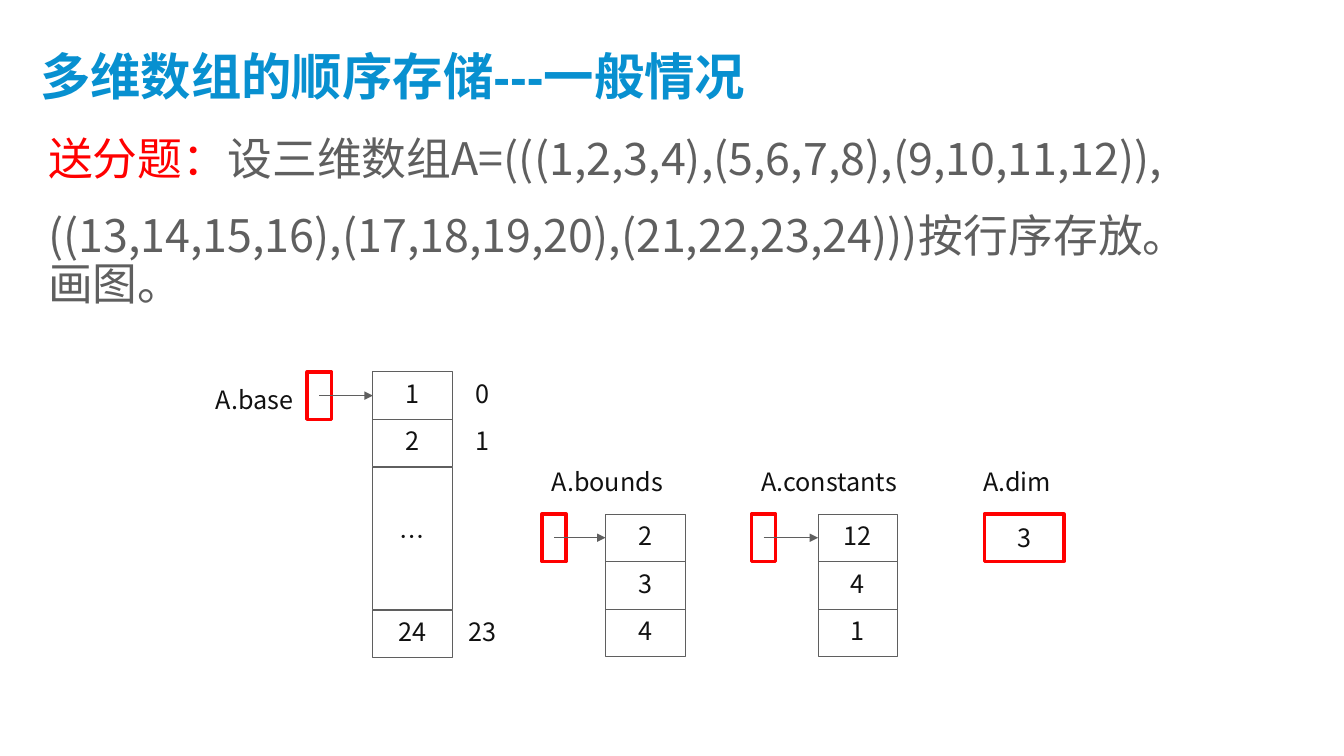
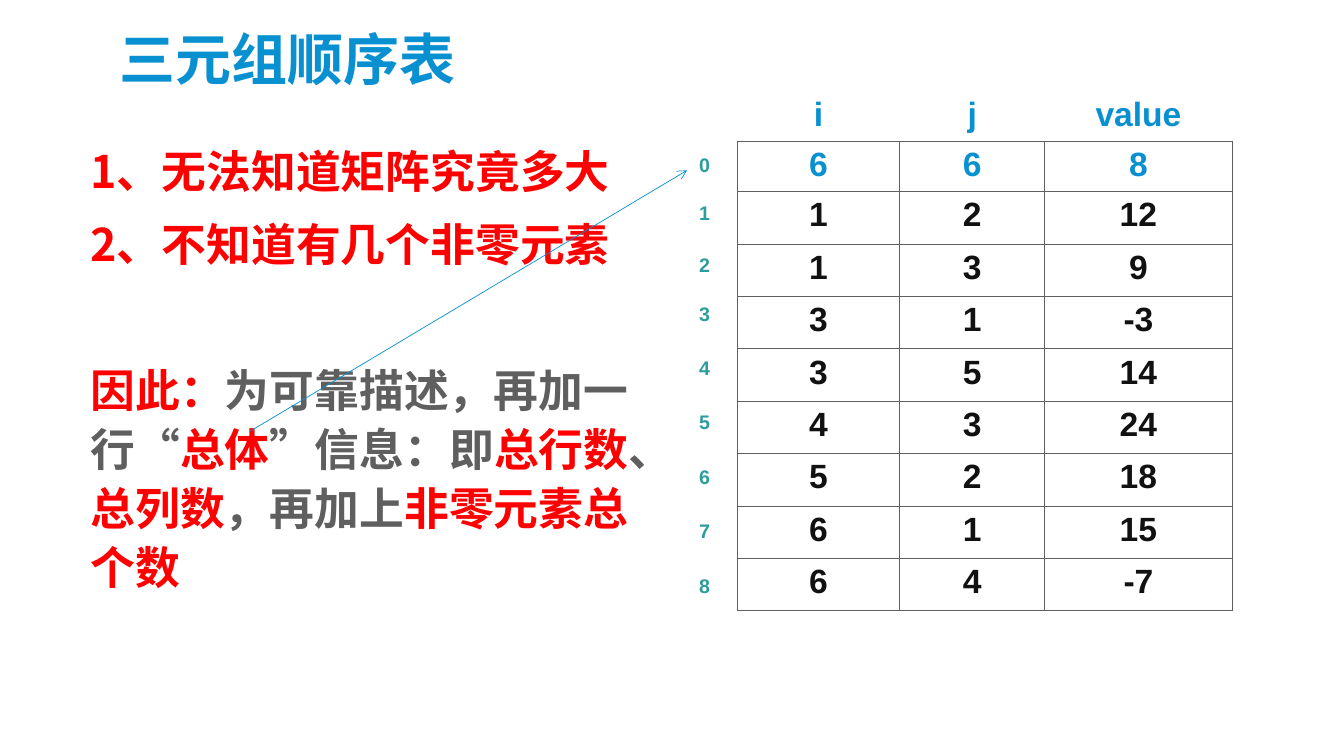
from itertools import accumulate

from pptx import Presentation
from pptx.dml.color import RGBColor as RGB
from pptx.enum.shapes import MSO_CONNECTOR as LINK, MSO_SHAPE as SHAPE
from pptx.enum.text import MSO_ANCHOR as ANCHOR, PP_ALIGN as ALIGN
from pptx.oxml.ns import qn
from pptx.util import Inches, Pt
from lxml.etree import SubElement

BLUE = RGB(0x08, 0x90, 0xD0)
RED = RGB(0xFF, 0, 0)
GRAY = RGB(0x5F, 0x5F, 0x5F)
INK = RGB(0x11, 0x11, 0x11)
TEAL = RGB(0x2D, 0x9C, 0x9F)
NOTO, ARIAL = "Noto Sans CJK SC", "Arial"

# Text formats: colour is the default for runs that name none.
TITLE = {"name": ARIAL, "size": Pt(36), "bold": True, "color": BLUE}
TITLE_BIG = {**TITLE, "name": NOTO, "size": Pt(40)}
BODY = {"name": NOTO, "size": Pt(32), "bold": False, "color": GRAY}
STRONG = {**BODY, "bold": True}
LABEL = {"name": NOTO, "size": Pt(18), "bold": False, "color": INK}
CELL = {"name": ARIAL, "size": Pt(24), "bold": True, "color": INK}
HEAD = {**CELL, "color": BLUE}
INDEX = {**CELL, "size": Pt(14), "color": TEAL}

# Slide 1: a paragraph is a list of (text, colour) runs.
TASK = [
    [("送分题：", RED), ("设三维数组A=(((1,2,3,4),(5,6,7,8),(9,10,11,12)),", GRAY)],
    [("((13,14,15,16),(17,18,19,20),(21,22,23,24)))按行序存放。画图。", GRAY)],
]
BOX_W, BOX_H, SLOT_W = 0.79, 0.47, 0.24
# Each vector: label, label place, align, slot x, column x, top, cells.
# A cell is (text, height in rows, index beside it).
VECTORS = [
    ("A.base", (1.83, 3.69, 1.18), ALIGN.RIGHT, 3.05, 3.7, 3.69,
     [("1", 1, "0"), ("2", 1, "1"), ("…", 3, ""), ("24", 1, "23")]),
    ("A.bounds", (5.38, 4.51, 1.57), ALIGN.LEFT, 5.38, 6.01, 5.1,
     [("2", 1, ""), ("3", 1, ""), ("4", 1, "")]),
    ("A.constants", (7.46, 4.51, 1.77), ALIGN.LEFT, 7.46, 8.12, 5.1,
     [("12", 1, ""), ("4", 1, ""), ("1", 1, "")]),
]

# Slide 2
REASONS = [
    [("1、无法知道矩阵究竟多大", RED)],
    [("2、不知道有几个非零元素", RED)],
    [("因此：", RED), ("为可靠描述，再加一行“", GRAY), ("总体", RED),
     ("”信息：即", GRAY), ("总行数", RED), ("、", GRAY), ("总列数", RED),
     ("，再加上", GRAY), ("非零元素总个数", RED)],
]
NAMES = [("i", "j", "value")]
TOTALS = [(6, 6, 8)]
TRIPLES = [(1, 2, 12), (1, 3, 9), (3, 1, -3), (3, 5, 14),
           (4, 3, 24), (5, 2, 18), (6, 1, 15), (6, 4, -7)]
COLS = [1.61, 1.44, 1.86]
INDEX_ROWS = [0.48, 0.52, 0.48] + [0.54] * 5 + [0.48]


def style(run, fmt, color=None):
    font = run.font
    for key, val in fmt.items():
        if key == "color":
            font.color.rgb = color or val
        else:
            setattr(font, key, val)
    props = run._r.get_or_add_rPr()
    props.set("lang", "zh-CN")
    SubElement(props, qn("a:ea")).set("typeface", NOTO)


def write(frame, paras, fmt, align=ALIGN.LEFT, anchor=ANCHOR.TOP,
          spacing=None, before=()):
    """Fill a text frame; before lists the space above each paragraph in points."""
    frame.word_wrap = True
    frame.vertical_anchor = anchor
    for num, runs in enumerate(paras):
        para = frame.paragraphs[0] if num == 0 else frame.add_paragraph()
        para.alignment = align
        if spacing:
            para.line_spacing = spacing
        if before:
            para.space_before = Pt(before[num])
        for text, color in runs:
            run = para.add_run()
            run.text = text
            style(run, fmt, color)


def put_text(slide, place, paras, fmt, **opts):
    box = slide.shapes.add_textbox(*map(Inches, place))
    write(box.text_frame, paras, fmt, **opts)
    return box


def put_title(slide, place, text, fmt):
    put_text(slide, place, [[(text, None)]], fmt,
             anchor=ANCHOR.MIDDLE, spacing=0.9)


def put_label(slide, place, text, align=ALIGN.LEFT, anchor=ANCHOR.BOTTOM):
    return put_text(slide, place, [[(text, None)]], LABEL,
                    align=align, anchor=anchor)


def put_box(slide, place, color, width, text="", top=0.0):
    box = slide.shapes.add_shape(SHAPE.RECTANGLE, *map(Inches, place))
    box.shadow.inherit = False
    box.fill.background()
    box.line.color.rgb = color
    box.line.width = Pt(width)
    if text:
        box.text_frame.margin_top = Inches(top)
        write(box.text_frame, [[(text, None)]], LABEL,
              ALIGN.CENTER, ANCHOR.MIDDLE)


def put_arrow(slide, start, end, color, width, head):
    link = slide.shapes.add_connector(LINK.STRAIGHT, *map(Inches, start + end))
    link.line.color.rgb = color
    link.line.width = Pt(width)
    SubElement(link.line._get_or_add_ln(), qn("a:tailEnd")).set("type", head)
    SubElement(link._element.spPr, qn("a:effectLst"))


def edge(cell, color):
    """Draw the four borders of a cell, or clear them when color is None."""
    props = cell._tc.get_or_add_tcPr()
    for side in ("lnL", "lnR", "lnT", "lnB"):
        line = SubElement(props, qn("a:" + side))
        line.set("w", str(Pt(0.45) if color else 0))
        if color:
            fill = SubElement(line, qn("a:solidFill"))
            SubElement(fill, qn("a:srgbClr")).set("val", str(color))
        else:
            SubElement(line, qn("a:noFill"))


def put_table(slide, left, top, cols, rows, data, fmt, border=None,
              align=ALIGN.CENTER):
    size = (left, top, sum(cols), sum(rows))
    table = slide.shapes.add_table(len(rows), len(cols),
                                   *map(Inches, size)).table
    table.first_row = table.horz_banding = False
    for parts, attr, sizes in ((table.columns, "width", cols),
                               (table.rows, "height", rows)):
        for part, val in zip(parts, sizes):
            setattr(part, attr, Inches(val))
    for r, line in enumerate(data):
        for c, val in enumerate(line):
            cell = table.cell(r, c)
            edge(cell, border)
            cell.fill.background()
            write(cell.text_frame, [[(str(val), None)]], fmt, align)


def put_vector(slide, label, spot, align, slot, left, top, cells):
    """Draw a labelled pointer slot with an arrow to its column of cells."""
    put_label(slide, spot + (BOX_H,), label, align)
    put_box(slide, (slot, top, SLOT_W, BOX_H), RED, 2.5)
    ends = list(accumulate((rows for _, rows, _ in cells), initial=0))
    for (text, rows, index), row in zip(cells, ends):
        y = top + row * BOX_H * 1.007
        put_box(slide, (left, y, BOX_W, rows * BOX_H), GRAY, 0.75, text)
        if index:
            mark = put_label(slide, (left + BOX_W, y, 0.59, BOX_H), index,
                             ALIGN.CENTER, ANCHOR.MIDDLE)
            mark.text_frame.margin_top = 0
    mid = top + BOX_H / 2
    put_arrow(slide, (slot + SLOT_W / 2, mid), (left, mid), GRAY, 1, "triangle")


def array_slide(slide):
    put_title(slide, (0.3, 0.31, 7.57, 0.95), "多维数组的顺序存储---一般情况", TITLE)
    put_text(slide, (0.38, 1.31, 11.88, 1.9), TASK, BODY,
             spacing=0.9, before=(20, 20))
    for vector in VECTORS:
        put_vector(slide, *vector)
    put_label(slide, (9.66, 4.51, 0.98, BOX_H), "A.dim")
    put_box(slide, (9.77, 5.1, BOX_W, BOX_H), RED, 2.5, "3", top=0.05)


def triple_slide(slide):
    put_text(slide, (0.8, 1.32, 5.9, 4.72), REASONS, STRONG,
             spacing=1.1, before=(10, 10, 62))
    put_title(slide, (1.09, 0.24, 5.95, 0.76), "三元组顺序表", TITLE_BIG)
    put_table(slide, 7.32, 1.9, COLS, [0.52] * 8, TRIPLES, CELL, GRAY)
    put_table(slide, 7.32, 1.4, COLS, [0.5], TOTALS, HEAD, GRAY)
    put_table(slide, 7.32, 0.9, COLS, [0.5], NAMES, HEAD)
    put_table(slide, 6.84, 1.48, [0.33], INDEX_ROWS,
              [(num,) for num in range(len(INDEX_ROWS))], INDEX,
              align=ALIGN.LEFT)
    put_arrow(slide, (2.48, 4.28), (6.82, 1.69), BLUE, 0.5, "arrow")


def main():
    deck = Presentation()
    deck.slide_width, deck.slide_height = Inches(13.34), Inches(7.5)
    for build in (array_slide, triple_slide):
        build(deck.slides.add_slide(deck.slide_layouts[6]))
    deck.save("out.pptx")


if __name__ == "__main__":
    main()
